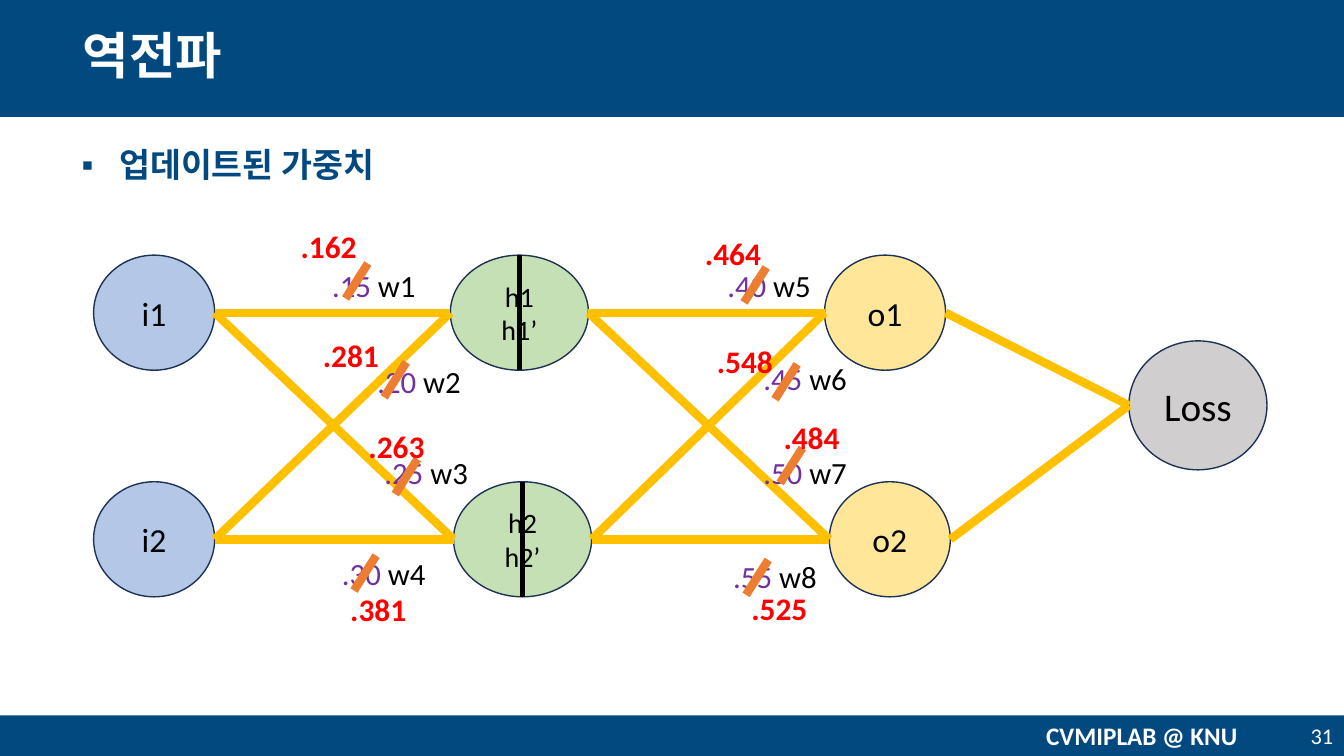
from dataclasses import dataclass

from lxml.etree import SubElement
from pptx import Presentation
from pptx.dml.color import RGBColor
from pptx.enum.shapes import MSO_CONNECTOR, MSO_SHAPE
from pptx.enum.text import MSO_ANCHOR, MSO_AUTO_SIZE, PP_ALIGN
from pptx.oxml.ns import qn
from pptx.util import Cm, Pt


@dataclass(frozen=True)
class Theme:
    title_font: str = "Arial"
    font: str = "Calibri"
    navy: str = "02497F"
    white: str = "FFFFFF"
    black: str = "000000"
    outline: str = "1E3256"
    input_fill: str = "B4C7E7"
    hidden_fill: str = "C5E0B4"
    output_fill: str = "FFE699"
    loss_fill: str = "D0CECE"
    edge: str = "FFC000"
    strike: str = "ED7D31"
    old_weight: str = "7030A0"
    new_weight: str = "FF0000"
    title_size: float = 36
    body_size: float = 24
    node_size: float = 24
    hidden_size: float = 20
    loss_size: float = 28
    weight_size: float = 22
    new_weight_size: float = 22.4
    footer_size: float = 18
    number_size: float = 16


class NetworkSlide:
    def __init__(self, presentation, theme):
        self.theme = theme
        self.slide = presentation.slides.add_slide(presentation.slide_layouts[1])
        self.shapes = self.slide.shapes

    def style_run(self, run, size, color, bold=False, font=None):
        run.font.name = font or self.theme.font
        run.font.size = Pt(size)
        run.font.bold = bold
        run.font.color.rgb = RGBColor.from_string(color)

    def place(self, shape, left, top, width, height):
        shape.left, shape.top = Cm(left), Cm(top)
        shape.width, shape.height = Cm(width), Cm(height)

    def band(self, top, height):
        shape = self.shapes.add_shape(MSO_SHAPE.RECTANGLE, 0, Cm(top), Cm(33.87), Cm(height))
        shape.shadow.inherit = False
        shape.fill.solid()
        shape.fill.fore_color.rgb = RGBColor.from_string(self.theme.navy)
        shape.line.fill.background()
        self.shapes._spTree.insert(2, shape._element)

    def title(self, text):
        title = self.shapes.title
        self.place(title, 1.83, 0.2, 30.2, 2.51)
        title.text_frame.text = text
        title.text_frame.vertical_anchor = MSO_ANCHOR.MIDDLE
        title.text_frame.auto_size = MSO_AUTO_SIZE.NONE
        paragraph = title.text_frame.paragraphs[0]
        paragraph.alignment = PP_ALIGN.LEFT
        paragraph.line_spacing = 0.9
        self.style_run(paragraph.runs[0], self.theme.title_size, self.theme.white,
                       True, self.theme.title_font)

    def body(self, text):
        body = self.slide.placeholders[1]
        self.place(body, 1.8, 3.61, 30.2, 12.5)
        body.text_frame.text = text
        body.text_frame.auto_size = MSO_AUTO_SIZE.NONE
        paragraph = body.text_frame.paragraphs[0]
        paragraph.line_spacing = 0.9
        paragraph.space_before = Pt(10)
        self.style_run(paragraph.runs[0], self.theme.body_size, self.theme.navy, True)
        properties = paragraph._p.get_or_add_pPr()
        properties.set("marL", str(Cm(0.95)))
        properties.set("indent", str(Cm(-0.95)))
        SubElement(properties, qn("a:buFont"), typeface=self.theme.title_font)
        SubElement(properties, qn("a:buChar"), char="▪")

    def text(self, left, top, width, height, parts, size, alignment=PP_ALIGN.RIGHT, bold=False):
        frame = self.shapes.add_textbox(Cm(left), Cm(top), Cm(width), Cm(height)).text_frame
        frame.word_wrap = True
        frame.vertical_anchor = MSO_ANCHOR.MIDDLE
        paragraph = frame.paragraphs[0]
        paragraph.alignment = alignment
        for text, color in parts:
            run = paragraph.add_run()
            run.text = text
            self.style_run(run, size, color, bold)

    def node(self, text, left, top, width, height, fill, size):
        shape = self.shapes.add_shape(MSO_SHAPE.FLOWCHART_CONNECTOR,
                                      Cm(left), Cm(top), Cm(width), Cm(height))
        shape.shadow.inherit = False
        shape.fill.solid()
        shape.fill.fore_color.rgb = RGBColor.from_string(fill)
        shape.line.color.rgb = RGBColor.from_string(self.theme.outline)
        shape.line.width = Pt(1)
        shape.text_frame.text = text
        shape.text_frame.vertical_anchor = MSO_ANCHOR.MIDDLE
        paragraph = shape.text_frame.paragraphs[0]
        paragraph.alignment = PP_ALIGN.CENTER
        for run in paragraph.runs:
            self.style_run(run, size, self.theme.black)
        return shape

    def line(self, start, end, color, width):
        connector = self.shapes.add_connector(MSO_CONNECTOR.STRAIGHT, *start, *end)
        connector.line.color.rgb = RGBColor.from_string(color)
        connector.line.width = Pt(width)
        SubElement(connector._element.spPr, qn("a:effectLst"))

    def divider(self, node):
        center = node.left + node.width // 2
        self.line((center, node.top), (center, node.top + node.height), self.theme.black, 3)

    def edge(self, source, target):
        self.line((source.left + source.width, source.top + source.height // 2),
                  (target.left, target.top + target.height // 2), self.theme.edge, 6)

    def old_weight(self, name, value, right, top):
        width = 3.4
        self.text(right - width, top, width, 1.32,
                  [(value + " ", self.theme.old_weight), (name, self.theme.black)],
                  self.theme.weight_size)

    def strike(self, left, bottom):
        self.line((Cm(left), Cm(bottom)), (Cm(left + 0.56), Cm(bottom - 0.88)),
                  self.theme.strike, 6)

    def new_weight(self, value, left, top):
        self.text(left, top, 2.03, 1.12, [(value, self.theme.new_weight)],
                  self.theme.new_weight_size, bold=True)


WEIGHTS = [
    ("w1", ".15", (10.72, 6.53), (8.71, 7.52), ".162", (7.21, 5.64)),
    ("w2", ".20", (11.86, 8.94), (9.68, 10.01), ".281", (7.77, 8.38)),
    ("w3", ".25", (12.04, 11.25), (9.96, 12.45), ".263", (8.92, 10.69)),
    ("w4", ".30", (10.97, 13.79), (8.92, 14.88), ".381", (8.46, 14.78)),
    ("w5", ".40", (20.68, 6.53), (18.75, 7.62), ".464", (17.4, 5.82)),
    ("w6", ".45", (21.59, 8.86), (19.53, 10.06), ".548", (17.7, 8.53)),
    ("w7", ".50", (21.59, 11.25), (19.66, 12.17), ".484", (19.38, 10.46)),
    ("w8", ".55", (20.83, 13.87), (18.8, 14.99), ".525", (18.57, 14.76)),
]


def main():
    presentation = Presentation()
    presentation.slide_width, presentation.slide_height = Cm(33.87), Cm(19.05)
    theme = Theme()
    network = NetworkSlide(presentation, theme)

    network.band(0, 2.95)
    network.band(18.03, 1.02)
    network.text(25.22, 18.03, 7.11, 1.02, [("CVMIPLAB @ KNU", theme.white)],
                 theme.footer_size, PP_ALIGN.CENTER, True)
    network.text(32.33, 18.03, 1.52, 1.02, [("31", theme.white)], theme.number_size)
    network.title("역전파")
    network.body("업데이트된 가중치")

    layers = [
        (("i1", "i2"), (2.36, 2.36), 3.05, theme.input_fill, theme.node_size),
        (("h1\vh1’", "h2\vh2’"), (11.35, 11.43), 3.48, theme.hidden_fill, theme.hidden_size),
        (("o1", "o2"), (20.78, 20.9), 3.05, theme.output_fill, theme.node_size),
    ]
    inputs, hidden, outputs = [
        [network.node(label, left, top, width, 2.9, fill, size)
         for label, left, top in zip(labels, lefts, (6.43, 12.14))]
        for labels, lefts, width, fill, size in layers
    ]
    loss = network.node("Loss", 28.45, 8.59, 3.48, 3.25, theme.loss_fill, theme.loss_size)

    for node in hidden:
        network.divider(node)
    for sources, targets in ((inputs, hidden), (hidden, outputs), (outputs, [loss])):
        for source in sources:
            for target in targets:
                network.edge(source, target)

    for name, old, label_place, strike_place, new, new_place in WEIGHTS:
        network.old_weight(name, old, *label_place)
        network.strike(*strike_place)
        network.new_weight(new, *new_place)

    presentation.save("out.pptx")


if __name__ == "__main__":
    main()
